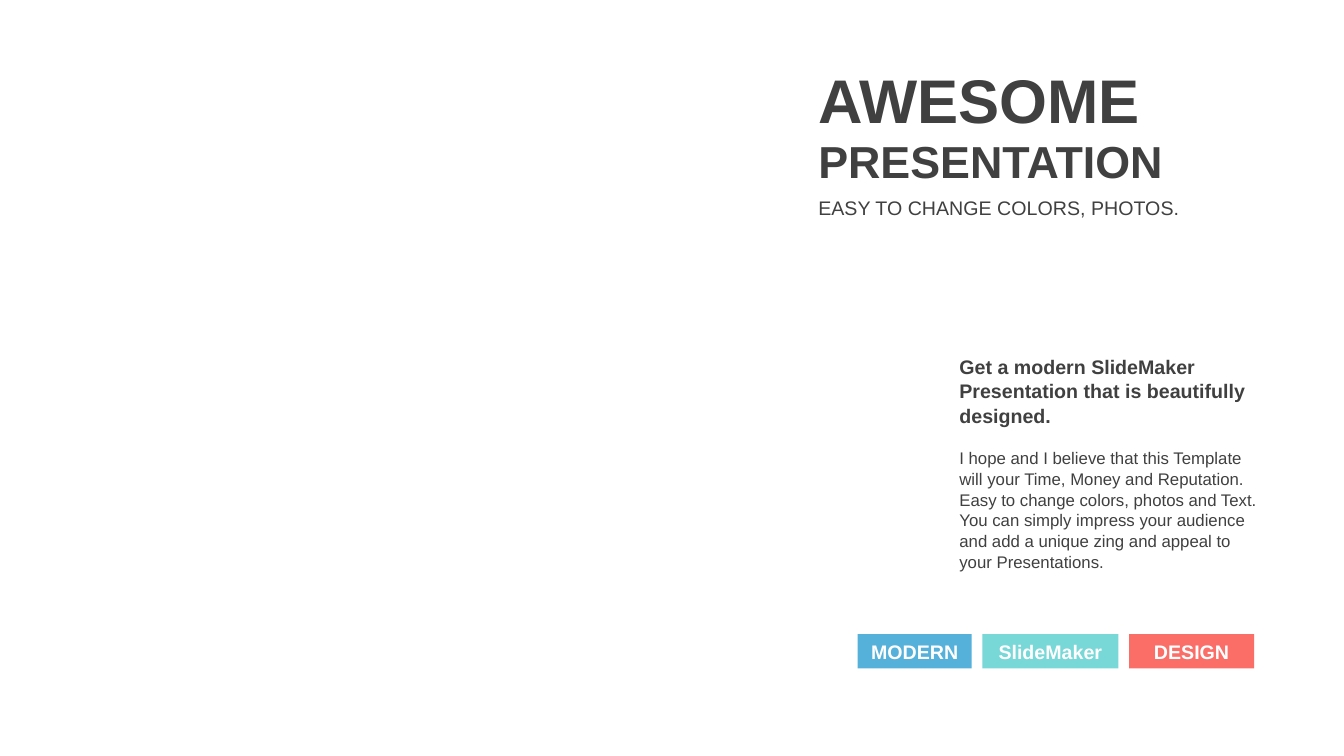
from pptx import Presentation
from pptx.dml.color import RGBColor
from pptx.enum.shapes import MSO_SHAPE
from pptx.enum.text import MSO_ANCHOR, MSO_AUTO_SIZE, PP_ALIGN
from pptx.util import Pt

DARK = RGBColor(0x40, 0x40, 0x40)
WHITE = RGBColor(0xFF, 0xFF, 0xFF)
BLUE = RGBColor(0x55, 0xB0, 0xDA)
TEAL = RGBColor(0x78, 0xD7, 0xD7)
CORAL = RGBColor(0xFB, 0x6D, 0x67)


class Cover:
    font_name = "Arial"
    line_spacing = 1.04

    def __init__(self, deck):
        self.slide = deck.slides.add_slide(deck.slide_layouts[5])

    def fill_text(self, shape, text, size, color=DARK, bold=False,
                  align=PP_ALIGN.LEFT, anchor=MSO_ANCHOR.TOP):
        frame = shape.text_frame
        frame.text = text
        paragraph = frame.paragraphs[0]
        formats = (
            (frame, {"word_wrap": True, "auto_size": MSO_AUTO_SIZE.NONE,
                     "vertical_anchor": anchor}),
            (paragraph, {"alignment": align, "line_spacing": self.line_spacing}),
            (paragraph.runs[0].font, {"name": self.font_name, "size": Pt(size),
                                      "bold": bold}),
        )
        for target, values in formats:
            for attribute, value in values.items():
                setattr(target, attribute, value)
        paragraph.runs[0].font.color.rgb = color

    def title(self, text, box, size, **style):
        heading = self.slide.shapes.title
        for side, length in zip(("left", "top", "width", "height"), box):
            setattr(heading, side, Pt(length))
        self.fill_text(heading, text, size, **style)

    def text(self, text, box, size, **style):
        self.fill_text(self.slide.shapes.add_textbox(*map(Pt, box)), text, size, **style)

    def label(self, text, box, fill):
        tag = self.slide.shapes.add_shape(MSO_SHAPE.RECTANGLE, *map(Pt, box))
        tag.shadow.inherit = False
        tag.fill.solid()
        tag.fill.fore_color.rgb = fill
        tag.line.fill.background()
        self.fill_text(tag, text, 14, color=WHITE, bold=True, align=PP_ALIGN.CENTER)


def main():
    deck = Presentation()
    deck.slide_width, deck.slide_height = Pt(960), Pt(540)
    cover = Cover(deck)

    heading_left, heading_width = 577.4, 334.8
    headline = {"bold": True, "align": PP_ALIGN.JUSTIFY, "anchor": MSO_ANCHOR.MIDDLE}
    cover.title("AWESOME", (heading_left, 39.6, heading_width, 60.5), 44, **headline)
    cover.text("PRESENTATION", (heading_left, 90.7, heading_width, 46), 32, **headline)
    cover.text("EASY TO CHANGE COLORS, PHOTOS.",
               (heading_left, 135.4, heading_width, 24.5), 14, align=PP_ALIGN.JUSTIFY)

    body_left, body_width = 678.2, 234
    cover.text("Get a modern SlideMaker Presentation that is beautifully designed.",
               (body_left, 249.1, body_width, 58.3), 14, bold=True)
    cover.text("I hope and I believe that this Template will your Time, Money and "
               "Reputation. Easy to change colors, photos and Text. You can simply "
               "impress your audience and add a unique zing and appeal to your "
               "Presentations.",
               (body_left, 315.4, body_width, 94.3), 12)

    label_left, label_gap = 612.7, 7.6
    for word, width, fill in (("MODERN", 81.4, BLUE), ("SlideMaker", 97.2, TEAL),
                              ("DESIGN", 89.3, CORAL)):
        cover.label(word, (label_left, 452.9, width, 24.5), fill)
        label_left += width + label_gap

    deck.save("out.pptx")


if __name__ == "__main__":
    main()
